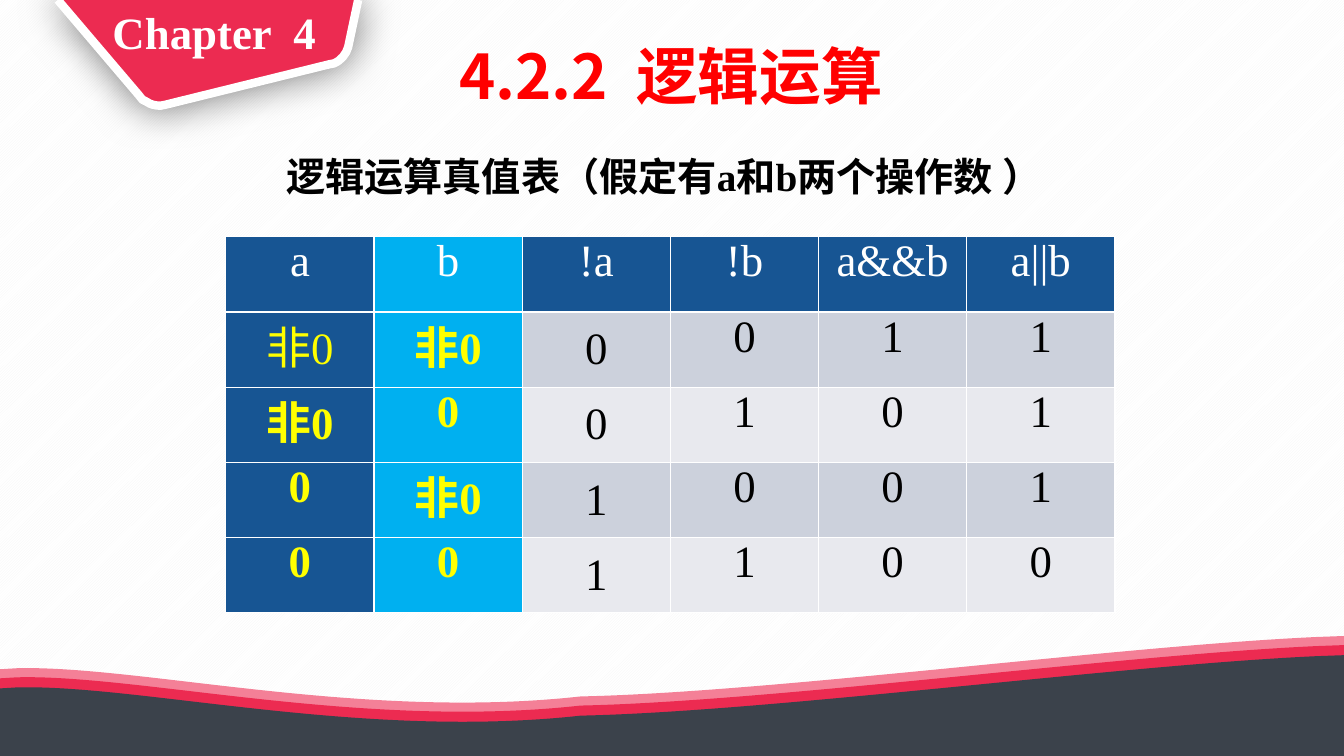
import math
from lxml import etree
from pptx import Presentation, util as u
from pptx.dml.color import RGBColor
from pptx.enum import dml, text
from pptx.oxml import parse_xml
from pptx.oxml.ns import qn

NS = 'xmlns:a="http://schemas.openxmlformats.org/drawingml/2006/main"'
SERIF, SANS = "Times New Roman", "Noto Sans CJK SC"
WHITE, BLACK, YELLOW, PINK, BLUE, CYAN = "FFFFFF", "000000", "FFFF00", "EC2B51", "175593", "00B0F0"
rgb = RGBColor.from_string


def write(tf, words, size, color, bold, font=SERIF, align=None, spacing=None):
    p = tf.paragraphs[0]
    for key, value in {"alignment": align, "line_spacing": spacing}.items():
        setattr(p, key, value)
    r = p.add_run()
    r.text = words
    for key, value in {"size": u.Pt(size), "bold": bold, "name": font}.items():
        setattr(r.font, key, value)
    r.font.color.rgb = rgb(color)
    etree.SubElement(r.font._element, qn("a:ea")).set("typeface", SANS)


def add_outline(segments, color, top=0, closed=True):
    segments = [[(u.Inches(x), u.Inches(y + top)) for x, y in seg] for seg in segments]
    ends = [seg[-1] for seg in segments]
    fb = s.shapes.build_freeform(*ends[0], scale=1.0)
    fb.add_line_segments(ends[1:], close=closed)
    sp = fb.convert_to_shape()
    steps = list(next(sp._element.iter(qn("a:path"))))
    for seg, step in zip(segments, steps):
        if len(seg) == 3:
            step.tag = qn("a:cubicBezTo")
            for k, (x, y) in enumerate(seg[:2]):
                pt = etree.Element(qn("a:pt"), x=str(x - sp.left), y=str(y - sp.top))
                step.insert(k, pt)
    sp.shadow.inherit = False
    sp.fill.solid()
    sp.fill.fore_color.rgb = rgb(color)
    sp.line.fill.background()
    return sp


prs = Presentation()
prs.slide_width, prs.slide_height = u.Inches(13.33), u.Inches(7.5)
s = prs.slides.add_slide(prs.slide_layouts[6])
bg = s.background.fill
bg.patterned()
bg.pattern = dml.MSO_PATTERN.LIGHT_UPWARD_DIAGONAL
bg.fore_color.rgb, bg.back_color.rgb = rgb("F5F5F5"), rgb(WHITE)

wave = [[(13.33, 0)], [(13.33, 1)], [(0, 1)], [(0, 0.33)], [(0.17, 0.32)],
        [(1.39, 0.29), (3.58, 0.84), (5.76, 0.6)], [(7.65, 0.56), (11.08, 0.1), (13.06, 0.01)]]
tag = [[(3.55, 0)], [(3.45, 0.47)], [(3.43, 0.54), (3.38, 0.6), (3.31, 0.63)], [(3.26, 0.64)],
       [(1.64, 1.04)], [(1.59, 1.05)], [(1.54, 1.05), (1.49, 1.04), (1.45, 1.01)],
       [(1.41, 0.99)], [(1.37, 0.94)], [(0.57, 0)]]
tilt, cx, cy = 13.8, 2.13, 0.28
cos, sin = math.cos(math.radians(tilt)), math.sin(math.radians(tilt))
level_tag = [[(cx + (x - cx) * cos - (y - cy) * sin, cy + (x - cx) * sin + (y - cy) * cos)
              for x, y in seg] for seg in tag]

add_outline(wave, "F48097", 6.31)
sp = add_outline(level_tag, PINK, closed=False)
sp.rotation = 360 - tilt
sp.line.color.rgb = rgb(WHITE)
sp.line.width = u.Pt(6)
sp._element.spPr.find(qn("a:effectLst")).append(parse_xml(
    f'<a:outerShdw {NS} blurRad="{u.Pt(29)}" dist="0" dir="0" algn="ctr" rotWithShape="0">'
    f'<a:srgbClr val="{BLACK}"><a:alpha val="52000"/></a:srgbClr></a:outerShdw>'))
for top, color in [(6.4, PINK), (6.5, "3B424B")]:
    add_outline(wave, color, top)

center = text.PP_ALIGN.CENTER
for box, words, size, color, font, align in [
        ((2.74, 1.32, 7.81, 0.9), "逻辑运算真值表（假定有a和b两个操作数 ）", 28, BLACK, SERIF, None),
        ((1.81, 0.37, 9.69, 0.83), "4.2.2  逻辑运算", 44, "FF0000", SANS, center),
        ((0.82, -0.07, 2.61, 0.83), "Chapter  4", 32, WHITE, SERIF, center)]:
    tf = s.shapes.add_textbox(*map(u.Inches, box)).text_frame
    tf.word_wrap = True
    tf.vertical_anchor = text.MSO_ANCHOR.MIDDLE
    write(tf, words, size, color, True, font, align, 0.9)

rows = [["a", "b", "!a", "!b", "a&&b", "a||b"],
        ["非0", "非0", "0", "0", "1", "1"],
        ["非0", "0", "0", "1", "0", "1"],
        ["0", "非0", "1", "0", "0", "1"],
        ["0", "0", "1", "1", "0", "0"]]
table = s.shapes.add_table(5, 6, *map(u.Inches, (2.24, 2.35, 8.82, 3.73))).table
for i, row in enumerate(rows):
    for j, words in enumerate(row):
        cell = table.cell(i, j)
        for key, value in {"margin_left": 0.07, "margin_right": 0.07,
                           "margin_top": 0, "margin_bottom": 0}.items():
            setattr(cell, key, u.Inches(value))
        if i and j == 2:
            cell.vertical_anchor = text.MSO_ANCHOR.MIDDLE
        for side in "LRTB":
            cell._tc.get_or_add_tcPr().append(parse_xml(
                f'<a:ln{side} {NS} w="{u.Pt(1)}"><a:solidFill><a:srgbClr val="{WHITE}"/>'
                f'</a:solidFill></a:ln{side}>'))
        band = BLUE if i == 0 else "CCD1DC" if i % 2 else "E8E9EE"
        cell.fill.solid()
        cell.fill.fore_color.rgb = rgb({0: BLUE, 1: CYAN}.get(j, band) if i or j < 2 else band)
        color = WHITE if i == 0 else YELLOW if j < 2 else BLACK
        bold = i > 0 and j < 2 and (i, j) != (1, 0)
        write(cell.text_frame, words, 32, color, bold, align=center)

prs.save("out.pptx")
